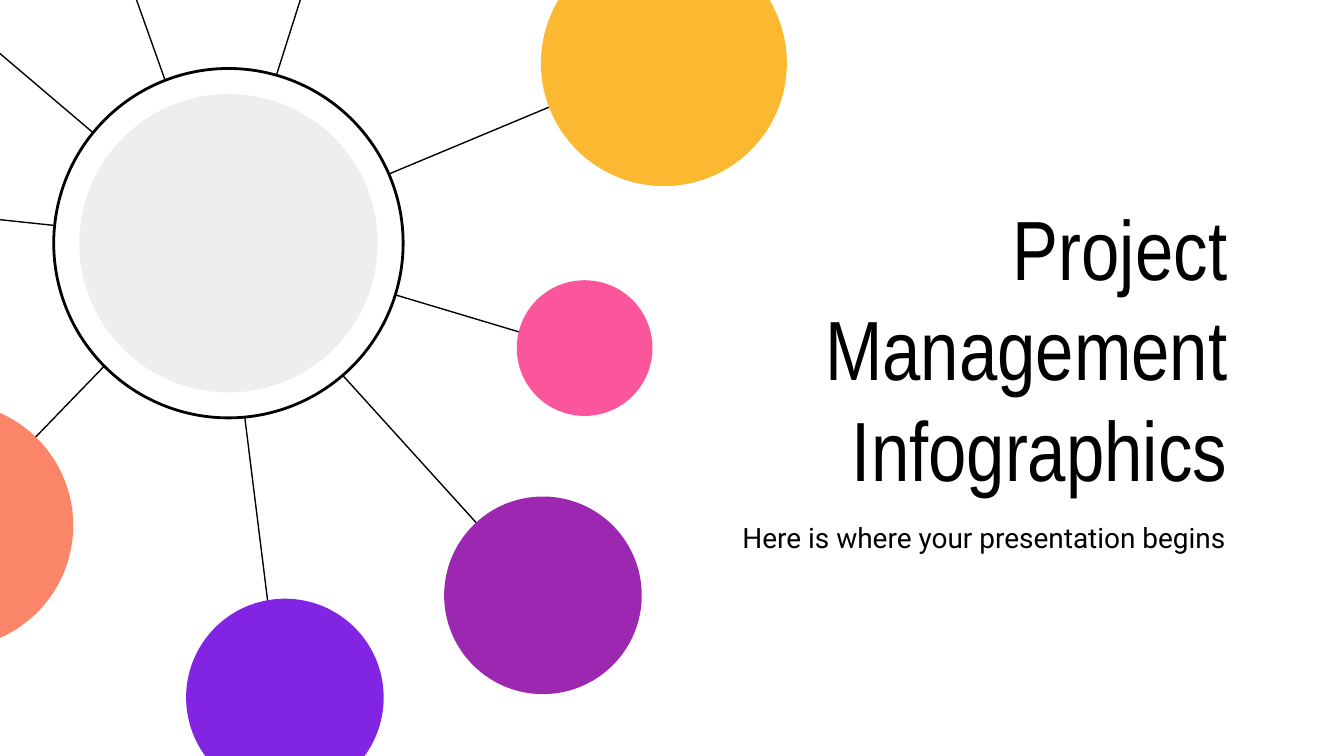
from pptx import Presentation
from pptx.dml.color import RGBColor
from pptx.enum.shapes import MSO_CONNECTOR, MSO_SHAPE
from pptx.enum.text import MSO_ANCHOR, PP_ALIGN
from pptx.oxml.ns import qn
from pptx.util import Inches, Pt
from lxml import etree

BLACK = RGBColor(0x00, 0x00, 0x00)
WHITE = RGBColor(0xFF, 0xFF, 0xFF)
GRAY = RGBColor(0xEE, 0xEE, 0xEE)
YELLOW = RGBColor(0xFB, 0xB8, 0x31)
CORAL = RGBColor(0xFB, 0x85, 0x69)
PURPLE = RGBColor(0x9C, 0x27, 0xB0)
VIOLET = RGBColor(0x82, 0x25, 0xE2)
PINK = RGBColor(0xFB, 0x56, 0x9C)

# 16:9 slide
SLIDE_WIDTH = Inches(10)
SLIDE_HEIGHT = SLIDE_WIDTH * 9 // 16

# Where all spokes meet, and the centre of the hub discs
SPOKE_CENTER = (1.66, 1.81)
HUB_CENTER = (1.7, 1.81)

# Outer end of each spoke
SPOKE_ENDS = [
    (4.99, 0.42), (-0.41, 3.95), (2.52, -0.9), (-1.01, -0.46), (4.06, 4.46),
    (2.09, 5.26), (-0.9, 1.54), (4.33, 2.61), (0.81, -0.58),
]

# Centre, diameter and colour of each satellite
SATELLITES = [
    ((4.94, 0.47), 1.83, YELLOW),
    ((-0.37, 3.91), 1.83, CORAL),
    ((4.04, 4.43), 1.47, PURPLE),
    ((2.12, 5.19), 1.47, VIOLET),
    ((4.35, 2.59), 1.01, PINK),
]

# Left, top, width, height, wording and format of each text
TEXTS = [
    (5.47, 1.4, 3.76, 2.37, "Project Management Infographics",
     {"name": "Arial Narrow", "size": Pt(45)}),
    (4.91, 3.77, 4.31, 0.46, "Here is where your presentation begins",
     {"name": "Roboto", "size": Pt(15)}),
]


def set_values(target, values):
    for name, value in values.items():
        setattr(target, name, value)


def add_spoke(page, end):
    points = [Inches(value) for value in (*end, *SPOKE_CENTER)]
    spoke = page.shapes.add_connector(MSO_CONNECTOR.STRAIGHT, *points)
    spoke.line.color.rgb = BLACK
    spoke.line.width = Pt(0.75)
    etree.SubElement(spoke._element.spPr, qn("a:effectLst"))


def add_disc(page, center, diameter, color, outline=None):
    left, top = (Inches(value - diameter / 2) for value in center)
    disc = page.shapes.add_shape(
        MSO_SHAPE.OVAL, left, top, Inches(diameter), Inches(diameter))
    disc.shadow.inherit = False
    disc.fill.solid()
    disc.fill.fore_color.rgb = color
    if outline is None:
        disc.line.fill.background()
    else:
        disc.line.color.rgb = outline
        disc.line.width = Pt(1.5)


def add_text(page, left, top, width, height, wording, font):
    box = page.shapes.add_textbox(
        Inches(left), Inches(top), Inches(width), Inches(height))
    margins = {f"margin_{side}": Inches(0.1)
               for side in ("left", "right", "top", "bottom")}
    set_values(box.text_frame, {
        "word_wrap": True, "vertical_anchor": MSO_ANCHOR.MIDDLE, **margins})
    para = box.text_frame.paragraphs[0]
    para.alignment = PP_ALIGN.RIGHT
    span = para.add_run()
    span.text = wording
    set_values(span.font, font)
    span.font.color.rgb = BLACK


def main():
    deck = Presentation()
    set_values(deck, {"slide_width": SLIDE_WIDTH, "slide_height": SLIDE_HEIGHT})
    page = deck.slides.add_slide(deck.slide_layouts[6])

    # Title and subtitle
    for text in TEXTS:
        add_text(page, *text)

    # Spokes, with satellites over their outer ends
    for end in SPOKE_ENDS:
        add_spoke(page, end)
    for satellite in SATELLITES:
        add_disc(page, *satellite)

    # Hub
    add_disc(page, HUB_CENTER, 2.6, WHITE, BLACK)
    add_disc(page, HUB_CENTER, 2.22, GRAY)

    deck.save("out.pptx")


if __name__ == "__main__":
    main()
